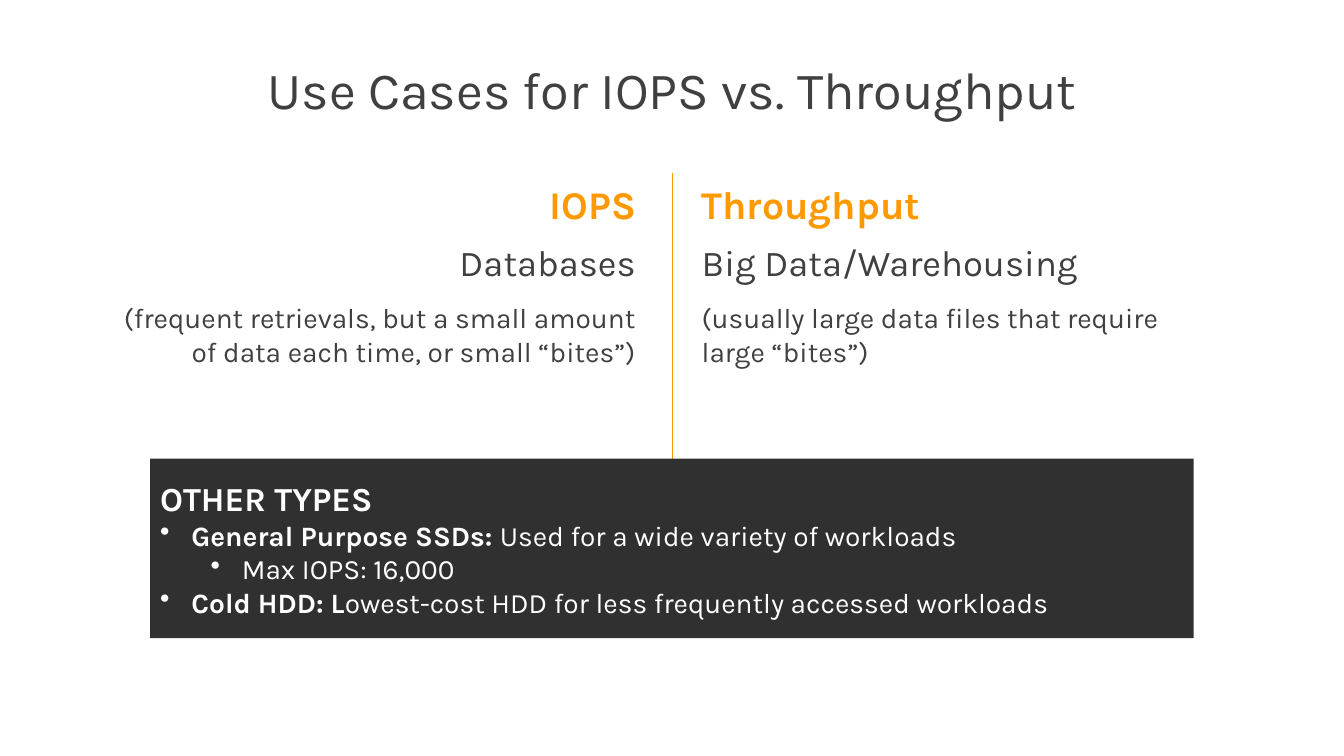
import dataclasses
import pptx
import pptx.dml.color
import pptx.enum.shapes
import pptx.enum.text
import pptx.util
from lxml import etree

ALIGN = pptx.enum.text.PP_ALIGN
ANCHOR = pptx.enum.text.MSO_ANCHOR
WIDTH, HEIGHT = pptx.util.Inches(13.33), pptx.util.Inches(7.5)


@dataclasses.dataclass(frozen=True)
class Theme:
    font: str = "Karla"
    ink: str = "404040"
    accent: str = "FF9900"
    panel: str = "303030"
    light: str = "FFFFFF"
    title: float = 37.3
    heading: float = 28
    lead: float = 26
    panel_heading: float = 24
    body: float = 20
    rule: float = 0.5


THEME = Theme()


def colour(code):
    return pptx.dml.color.RGBColor.from_string(code)


def place(box):
    """Turn percentages of the slide into left, top, width, height."""
    return [round(share * size / 100) for share, size in zip(box, (WIDTH, HEIGHT) * 2)]


def format_span(span, size, code, bold=False):
    span.font.name = THEME.font
    span.font.size = pptx.util.Pt(size)
    span.font.color.rgb = colour(code)
    span.font.bold = bold


def add_text(page, box, lines, align, anchor, spacing=None, gap=0, inset=(0, 0.07)):
    """Add a text box; each line is (text, size, colour, bold)."""
    frame = page.shapes.add_textbox(*place(box)).text_frame
    frame.word_wrap = True
    frame.vertical_anchor = anchor
    frame.margin_left, frame.margin_right = map(pptx.util.Inches, inset)
    frame.margin_top = frame.margin_bottom = pptx.util.Inches(0.04)
    frame.text = "\n".join(line[0] for line in lines)
    for index, (para, line) in enumerate(zip(frame.paragraphs, lines)):
        para.alignment = align
        para.line_spacing = spacing
        para.space_before = pptx.util.Pt(gap if index else 0)
        para.space_after = pptx.util.Pt(gap)
        format_span(para.runs[0], *line[1:])


def add_bullet(para, indent, hanging=0.31):
    properties = para._p.get_or_add_pPr()
    properties.set("marL", str(pptx.util.Inches(indent)))
    properties.set("indent", str(-pptx.util.Inches(hanging)))
    bullet = etree.SubElement(properties, pptx.oxml.ns.qn("a:buChar"))
    bullet.set("char", "•")


def add_title(page, box, text):
    add_text(page, box, [(text, THEME.title, THEME.ink)], ALIGN.CENTER,
             ANCHOR.MIDDLE, spacing=0.9, inset=(0.1, 0.1))


def add_divider(page, box):
    left, top, width, height = place(box)
    line = page.shapes.add_connector(pptx.enum.shapes.MSO_CONNECTOR.STRAIGHT,
                                     left, top, left + width, top + height)
    line.line.color.rgb = colour(THEME.accent)
    line.line.width = pptx.util.Pt(THEME.rule)
    etree.SubElement(line._element.spPr, pptx.oxml.ns.qn("a:effectLst"))


def add_side(page, box, heading_span, align, heading, lead, detail):
    """Heading over explanation; heading_span is its start and width within the box."""
    left, top, width, height = box
    start, share = heading_span
    heading_height, body_offset = 7.6, 8.13
    add_text(page, (left + start * width, top, share * width, heading_height),
             [(heading, THEME.heading, THEME.accent, True)], align, ANCHOR.BOTTOM, spacing=0.85)
    add_text(page, (left, top + body_offset, width, height - body_offset),
             [(lead, THEME.lead, THEME.ink), (detail, THEME.body, THEME.ink)],
             align, ANCHOR.TOP, gap=6)


def add_panel(page, box, heading, items):
    """Dark panel; each item is (level, bold text, plain text)."""
    panel = page.shapes.add_shape(pptx.enum.shapes.MSO_SHAPE.RECTANGLE, *place(box))
    panel.shadow.inherit = False
    panel.fill.solid()
    panel.fill.fore_color.rgb = colour(THEME.panel)
    panel.line.fill.background()
    frame = panel.text_frame
    frame.word_wrap = True
    frame.vertical_anchor = ANCHOR.MIDDLE
    frame.text = heading
    frame.paragraphs[0].alignment = ALIGN.LEFT
    format_span(frame.paragraphs[0].runs[0], THEME.panel_heading, THEME.light, True)
    for level, strong, plain in items:
        para = frame.add_paragraph()
        para.level = level
        para.alignment = ALIGN.LEFT
        add_bullet(para, 0.31 + 0.5 * level)
        for text, bold in ((strong, True), (plain, False)):
            if text:
                span = para.add_run()
                span.text = text
                format_span(span, THEME.body, THEME.light, bold)


def main():
    deck = pptx.Presentation()
    deck.slide_width, deck.slide_height = WIDTH, HEIGHT
    page = deck.slides.add_slide(deck.slide_layouts[6])

    # Title and centre rule
    add_title(page, (6.9, 8.27, 86.27, 7.87), "Use Cases for IOPS vs. Throughput")
    add_divider(page, (50, 22.93, 0, 54.8))

    # Two sides of the comparison
    add_side(page, (8.85, 23.07, 39, 54.66), (0.15, 0.85), ALIGN.RIGHT, "IOPS", "Databases",
             "(frequent retrievals, but a small amount of data each time, or small “bites”)")
    add_side(page, (52.21, 23.07, 39, 34.8), (0, 1.1), ALIGN.LEFT, "Throughput",
             "Big Data/Warehousing", "(usually large data files that require large “bites”)")

    # Other storage types
    add_panel(page, (11.18, 60.67, 77.64, 23.73), "OTHER TYPES", [
        (0, "General Purpose SSDs: ", "Used for a wide variety of workloads"),
        (1, "", "Max IOPS: 16,000"),
        (0, "Cold HDD: L", "owest-cost HDD for less frequently accessed workloads"),
    ])
    deck.save("out.pptx")


if __name__ == "__main__":
    main()
